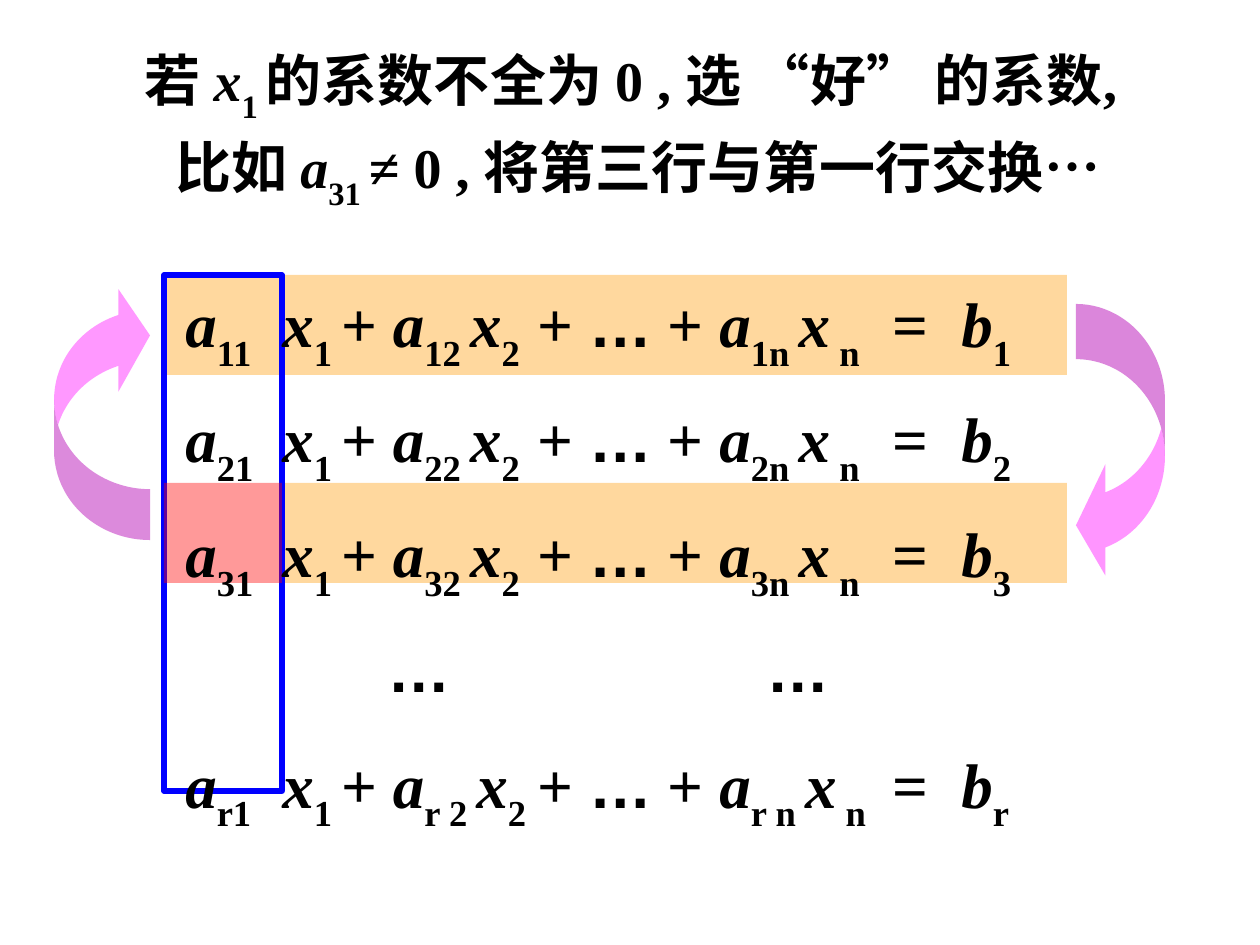
from lxml import etree
from pptx import Presentation
from pptx import util as u
from pptx.dml.color import RGBColor
from pptx.enum import shapes, text
from pptx.oxml.ns import qn

SCALE = 914400 / 126
COLORS = {"ink": "000000", "band": "FF9900", "pivot": "FF0000",
          "frame": "0000FF", "arrow": "FF66FF"}
VAR = {"italic": True}
SUB = {"sub": True}
ALT = {"face": "Arial"}
STOPS = (109, 206, 461, 816, 885)
DOT_STOPS = (311, 690)
LEFT, TOP, COL, WIDE, HIGH = 164, 275, 118, 903, 100
THIRD = 483


def px(n):
    return u.Emu(round(n * SCALE))


def rgb(name):
    return RGBColor.from_string(COLORS[name])


def add_run(para, words, size=36, italic=False, sub=False,
            face="Times New Roman"):
    run = para.add_run()
    run.text = words
    font = run.font
    font.size, font.name = u.Pt(size), face
    font.bold, font.italic = True, italic
    font.color.rgb = rgb("ink")
    if sub:
        font._element.set("baseline", "-30000")


def add_parts(para, parts, size):
    """Add (words, format) pairs as runs; plain strings take the defaults."""
    for part in parts:
        words, style = (part, {}) if isinstance(part, str) else part
        add_run(para, words, size=size, **style)


def add_shape(slide, kind, box, fill=None, alpha=100, line=None,
              turn=0, adjust=()):
    shape = slide.shapes.add_shape(kind, *map(px, box))
    shape.shadow.inherit = False
    shape.rotation = turn
    for i, value in enumerate(adjust):
        shape.adjustments[i] = value
    if fill:
        shape.fill.solid()
        shape.fill.fore_color.rgb = rgb(fill)
        color = shape._element.spPr.find(qn("a:solidFill"))[0]
        etree.SubElement(color, qn("a:alpha"), val=str(alpha * 1000))
    else:
        shape.fill.background()
    if line:
        shape.line.color.rgb = rgb(line)
        shape.line.width = u.Pt(3)
    else:
        shape.line.fill.background()


def set_layout(para, stops):
    """Give a row its line spacing, 20% space before and tab stops."""
    para.line_spacing = 1.15
    props = para._p.get_or_add_pPr()
    gap = etree.SubElement(props, qn("a:spcBef"))
    etree.SubElement(gap, qn("a:spcPct"), val="20000")
    tabs = etree.SubElement(props, qn("a:tabLst"))
    for stop in stops:
        etree.SubElement(tabs, qn("a:tab"), pos=str(px(stop)), algn="l")


def make_row(row, gap=""):
    """Return the parts of one equation; gap splits the row and column index."""
    return ["\t", ("a", VAR), (f"{row}1\t", SUB), ("x", VAR), ("1 ", SUB),
            "+ ", ("a", VAR), (f"{row}{gap}2 ", SUB), ("x", VAR),
            ("2\t", SUB), "+ ", ("…", ALT), " + ", ("a", VAR),
            (f"{row}{gap}n ", SUB), ("x", VAR), (" n\t", SUB),
            "=\t", ("b", VAR), (row, SUB)]


def fill_title(slide):
    title = slide.shapes.title
    title.left, title.top, title.width, title.height = map(
        px, (64, 26, 1134, 197))
    frame = title.text_frame
    frame.word_wrap = True
    frame.auto_size = text.MSO_AUTO_SIZE.NONE
    frame.vertical_anchor = text.MSO_ANCHOR.MIDDLE
    para = frame.paragraphs[0]
    para.alignment = text.PP_ALIGN.CENTER
    para.line_spacing = 1.1
    add_parts(para, ["若 ", ("x", VAR), ("1 ", SUB), "的系数不全为 0 , 选 ",
                     ("“", ALT), "好", ("”", ALT), " 的系数,"], 32)
    para.add_line_break()
    add_parts(para, [" 比如 ", ("a", VAR), ("31 ", SUB),
                     "≠ 0 , 将第三行与第一行交换", ("…", ALT)], 32)


def add_system(slide):
    box = slide.shapes.add_textbox(*map(px, (64, 265, 1134, 585)))
    frame = box.text_frame
    frame.word_wrap = True
    dots = [("\t", SUB), ("…\t…", ALT)]
    rows = [make_row(n) for n in "123"] + [dots, make_row("r", gap=" ")]
    for i, parts in enumerate(rows):
        para = frame.add_paragraph() if i else frame.paragraphs[0]
        set_layout(para, DOT_STOPS if parts is dots else STOPS)
        add_parts(para, parts, 36)


def main():
    deck = Presentation()
    deck.slide_width, deck.slide_height = u.Inches(10), u.Inches(7.5)
    slide = deck.slides.add_slide(deck.slide_layouts[5])
    fill_title(slide)
    kind = shapes.MSO_SHAPE
    add_shape(slide, kind.CURVED_LEFT_ARROW, (54, 284, 96, 256), "arrow", 67,
              turn=180, adjust=(0.53, 1.07, 0.33))
    add_shape(slide, kind.CURVED_LEFT_ARROW, (1076, 304, 89, 277), "arrow", 69,
              adjust=(0.62, 1.25, 0.33))
    rect = kind.RECTANGLE
    add_shape(slide, rect, (LEFT + COL, THIRD, WIDE - COL, HIGH), "band", 38)
    add_shape(slide, rect, (LEFT, TOP, WIDE, HIGH), "band", 38)
    add_shape(slide, rect, (LEFT, TOP, COL, 516), line="frame")
    add_shape(slide, rect, (LEFT, THIRD, COL, HIGH), "pivot", 40)
    add_system(slide)
    deck.save("out.pptx")


if __name__ == "__main__":
    main()
